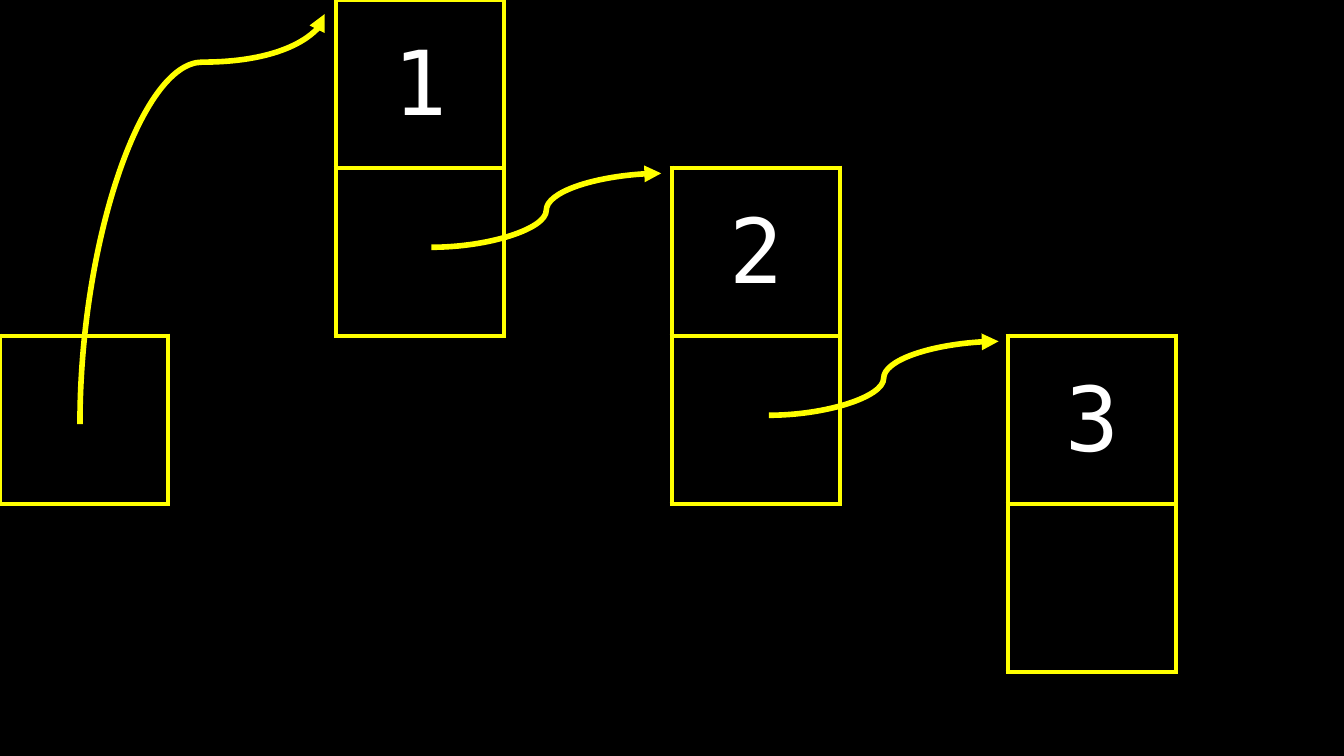
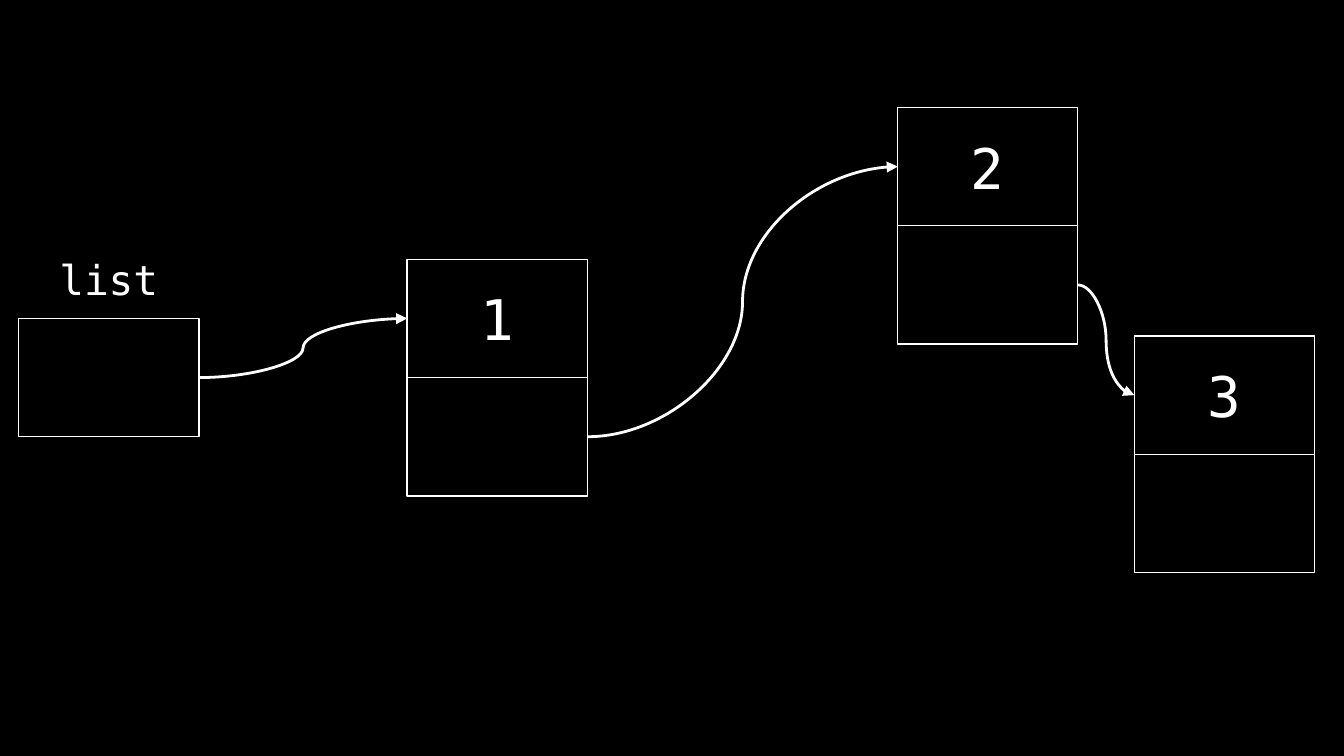
from itertools import pairwise

from lxml.etree import SubElement
from pptx import Presentation
from pptx.dml.color import RGBColor
from pptx.enum.shapes import MSO_CONNECTOR, MSO_SHAPE
from pptx.enum.text import MSO_ANCHOR, PP_ALIGN
from pptx.oxml.ns import qn
from pptx.util import Inches, Pt

BLACK = RGBColor(0, 0, 0)
WHITE = RGBColor(255, 255, 255)
YELLOW = RGBColor(255, 255, 0)
FONT = "DejaVu Sans Mono"
PLAIN = "{2D5ABB26-0587-4C30-8999-92F81FD0307C}"
PAD = {"margin_" + side: Inches(0.1) for side in ("left", "right", "top", "bottom")}
MIDDLE = PAD | {"vertical_anchor": MSO_ANCHOR.MIDDLE}
SIDES = {"lnL": (0, -1), "lnR": (0, 1), "lnT": (-1, 0), "lnB": (1, 0)}

CELL = 1.25
ROWS, COLS = 5, 8
DIGITS = {(0, 2): "1", (1, 4): "2", (2, 6): "3"}
FRAMED = {(2, 0)} | set(DIGITS) | {(row + 1, col) for row, col in DIGITS}
BOX_W, BOX_H = 1.34, 0.88


def apply(thing, values):
    for name, value in values.items():
        setattr(thing, name, value)


def write(frame, text, size, layout):
    apply(frame, layout)
    para = frame.paragraphs[0]
    para.alignment = PP_ALIGN.CENTER
    run = para.add_run()
    run.text = text
    apply(run.font, {"name": FONT, "size": Pt(size)})
    run.font.color.rgb = WHITE


def new_slide(deck):
    slide = deck.slides.add_slide(deck.slide_layouts[6])
    fill = slide.background.fill
    fill.solid()
    fill.fore_color.rgb = BLACK
    return slide


def add_curve(slide, start, end, color, width):
    points = [Inches(value) for value in (*start, *end)]
    curve = slide.shapes.add_connector(MSO_CONNECTOR.CURVE, *points)
    curve.line.color.rgb = color
    curve.line.width = Pt(width)
    stroke = curve.element.xpath(".//a:ln")[0]
    SubElement(stroke, qn("a:tailEnd"), type="triangle")
    SubElement(curve.element.spPr, qn("a:effectLst"))
    return curve


def add_border(cell, side, shown):
    props = cell._tc.get_or_add_tcPr()
    edge = SubElement(props, qn("a:" + side), w=str(Pt(3)))
    if shown:
        fill = SubElement(edge, qn("a:solidFill"))
        SubElement(fill, qn("a:srgbClr"), val=str(YELLOW))
    else:
        SubElement(edge, qn("a:noFill"))


def add_grid(slide, left, top, size):
    frame = slide.shapes.add_table(
        ROWS, COLS, Inches(left), Inches(top), Inches(size), Inches(size))
    table = frame.table
    apply(table, {"first_row": False, "horz_banding": False})
    frame.element.xpath(".//a:tableStyleId")[0].text = PLAIN
    for col in table.columns:
        col.width = Inches(CELL)
    for row in table.rows:
        row.height = Inches(CELL)
    apply(frame, {"width": Inches(size), "height": Inches(size)})
    for row in range(ROWS):
        for col in range(COLS):
            cell = table.cell(row, col)
            for side, (down, right) in SIDES.items():
                pair = {(row, col), (row + down, col + right)}
                add_border(cell, side, bool(FRAMED & pair))
            cell.fill.background()
            apply(cell, MIDDLE)
            if (row, col) in DIGITS:
                write(cell.text_frame, DIGITS[row, col], 48, {})


def add_turn(slide, left, top, width, height):
    curve = add_curve(slide, (left, top), (left + width, top + height), YELLOW, 3)
    curve.element.spPr.find(qn("a:xfrm")).set("rot", str(270 * 60000))
    guides = curve.element.xpath(".//a:avLst")[0]
    SubElement(guides, qn("a:gd"), name="adj1", fmla="val 88300")


def grid_slide(deck):
    slide = new_slide(deck)
    add_grid(slide, 0, 0, 3.28)
    for step in range(2):
        left, top = 3.21 + 2.51 * step, 1.29 + CELL * step
        add_curve(slide, (left, top + 0.55), (left + 1.71, top), YELLOW, 3)
    add_turn(slide, -0.02, 0.72, 3.05, 1.82)


def add_box(slide, left, top, text=""):
    box = slide.shapes.add_shape(
        MSO_SHAPE.RECTANGLE, Inches(left), Inches(top), Inches(BOX_W), Inches(BOX_H))
    box.shadow.inherit = False
    box.fill.background()
    box.line.color.rgb = WHITE
    box.line.width = Pt(0.75)
    if text:
        write(box.text_frame, text, 30, MIDDLE)
    return box


def add_node(slide, left, top, text):
    return add_box(slide, left, top, text), add_box(slide, left, top + BOX_H)


def add_head(slide, left, top):
    label = slide.shapes.add_textbox(
        Inches(left + 0.2), Inches(top - 0.58), Inches(0.94), Inches(0.44))
    write(label.text_frame, "list", 22, PAD | {"word_wrap": False})
    box = add_box(slide, left, top)
    return box, box


def link_slide(deck):
    slide = new_slide(deck)
    chain = [
        add_head(slide, 0.14, 2.37),
        add_node(slide, 3.03, 1.93, "1"),
        add_node(slide, 6.68, 0.8, "2"),
        add_node(slide, 8.44, 2.5, "3"),
    ]
    for (_, source), (target, _) in pairwise(chain):
        curve = add_curve(slide, (0, 0), (1, 1), WHITE, 1.5)
        curve.begin_connect(source, 3)
        curve.end_connect(target, 1)


def main():
    deck = Presentation()
    width = Inches(10)
    apply(deck, {"slide_width": width, "slide_height": width * 9 // 16})
    grid_slide(deck)
    link_slide(deck)
    deck.save("out.pptx")


if __name__ == "__main__":
    main()
